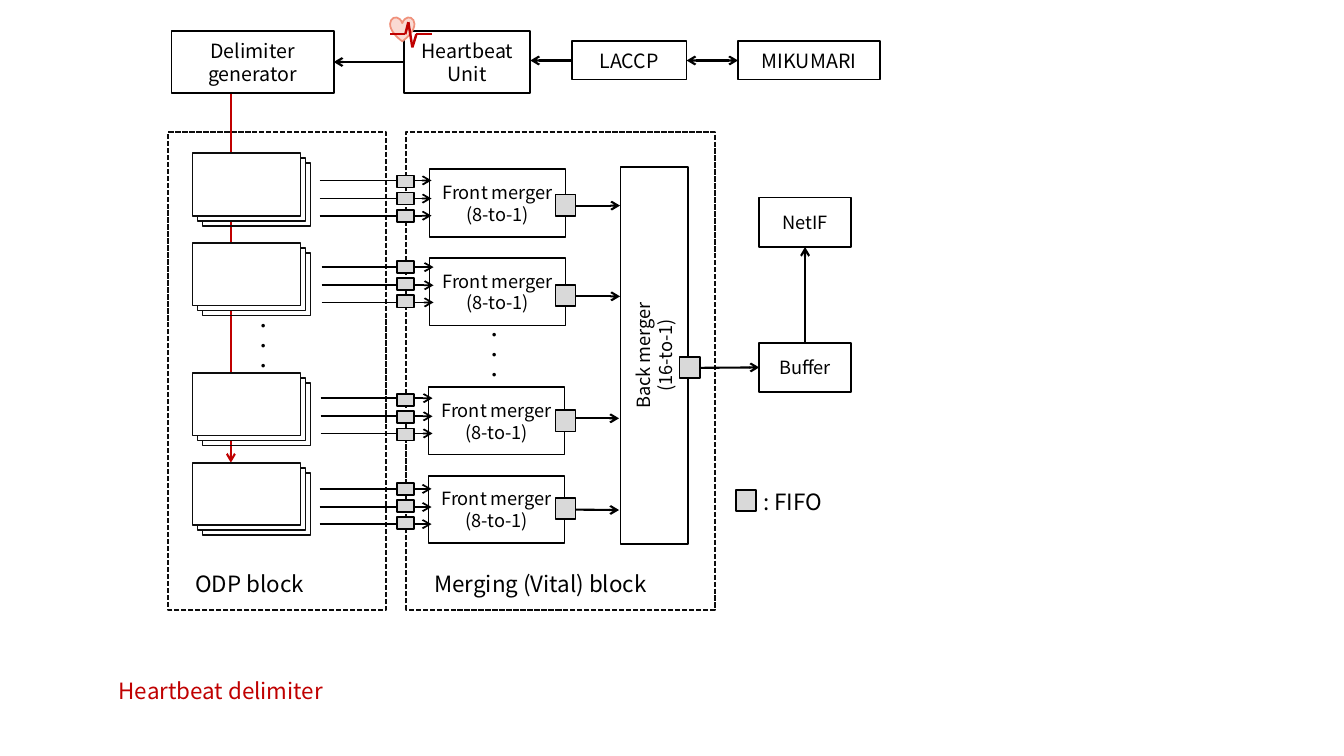
from dataclasses import dataclass
from itertools import pairwise

from lxml.etree import SubElement
from pptx import Presentation
from pptx.dml.color import RGBColor as Rgb
from pptx.enum.dml import MSO_LINE_DASH_STYLE as Dash
from pptx.enum.shapes import MSO_CONNECTOR as Conn, MSO_SHAPE as Kind
from pptx.enum.text import MSO_ANCHOR as Anchor, PP_ALIGN as Align
from pptx.oxml.ns import qn
from pptx.util import Inches, Pt


@dataclass(frozen=True)
class Theme:
    font: str = "Noto Sans CJK JP"
    black: str = "000000"
    ink: str = "0D0D0D"
    white: str = "FFFFFF"
    red: str = "C00000"
    gray: str = "D9D9D9"
    pink: str = "FADAD3"
    coral: str = "F0917B"
    dot: int = 12
    block: int = 13
    head: int = 14
    label: int = 16
    edge: float = 1.25
    flow: float = 1.5
    pulse: float = 1.75


T = Theme()
TOP, LEFT, BOTTOM, RIGHT = range(4)


@dataclass(frozen=True)
class Row:
    deck: float    # top of the front sheet
    wire: tuple    # left end and height of the first wire
    port: float    # top of the first small FIFO
    merge: tuple   # left and top of the front merger
    out: float     # height of the output arrow
    fifo: float    # top of the output FIFO


ROWS = (
    Row(1.52, (3.17, 1.79), 1.74, (4.26, 1.68), 2.04, 1.93),
    Row(2.41, (3.19, 2.65), 2.59, (4.26, 2.56), 2.94, 2.83),
    Row(3.70, (3.18, 3.95), 3.91, (4.25, 3.84), 4.15, 4.07),
    Row(4.59, (3.17, 4.85), 4.79, (4.25, 4.72), 5.06, 4.94),
)


def write(frame, text, size, color=T.black, align=Align.LEFT):
    frame.word_wrap = True
    frame.text = text
    for para in frame.paragraphs:
        para.alignment = align
        for run in para.runs:
            font = run.font
            font.size = Pt(size)
            font.color.rgb = Rgb.from_string(color)
            font.name = T.font
            SubElement(font._element, qn("a:ea"), typeface=T.font)


def label(slide, x, y, w, h, text, size=T.label, color=T.black):
    box = slide.shapes.add_textbox(Inches(x), Inches(y), Inches(w), Inches(h))
    write(box.text_frame, text, size, color)


def box(slide, x, y, w, h, text="", size=T.block, fill=T.white, line=T.black,
        kind=Kind.RECTANGLE):
    shape = slide.shapes.add_shape(
        kind, Inches(x), Inches(y), Inches(w), Inches(h))
    shape.shadow.inherit = False
    if fill:
        shape.fill.solid()
        shape.fill.fore_color.rgb = Rgb.from_string(fill)
    else:
        shape.fill.background()
    shape.line.color.rgb = Rgb.from_string(line)
    shape.line.width = Pt(T.edge)
    if text:
        shape.text_frame.vertical_anchor = Anchor.MIDDLE
        write(shape.text_frame, text, size, align=Align.CENTER)
    return shape


def panel(slide, x, w, fill=None):
    frame = box(slide, x, 1.31, w, 4.74, fill=fill, line=T.ink)
    frame.line.dash_style = Dash.SQUARE_DOT


def fifo(slide, x, y):
    box(slide, x, y, 0.2, 0.21, fill=T.gray)


def line(slide, start, end, color=T.black, width=T.flow, tips=("tailEnd",),
         source=None, target=None):
    """Draw a line; source and target are (shape, side) pairs to join."""
    link = slide.shapes.add_connector(
        Conn.STRAIGHT, *(Inches(v) for v in (*start, *end)))
    if source:
        link.begin_connect(*source)
    if target:
        link.end_connect(*target)
    link.line.color.rgb = Rgb.from_string(color)
    link.line.width = Pt(width)
    for tip in tips:
        SubElement(link.line._get_or_add_ln(), qn(f"a:{tip}"), type="arrow")
    SubElement(link._element.spPr, qn("a:effectLst"))


def deck(slide, y):
    for step, fill in ((0.1, None), (0.05, T.white), (0, T.white)):
        box(slide, 1.91 + step, y + step, 1.07, 0.62, fill=fill, line=T.ink)


def lane(slide, row):
    x, y = row.merge
    wide, high = 1.35, 0.67
    merger = box(slide, x, y, wide, high, "Front merger\n(8-to-1)")
    level = abs(y + high / 2 - row.out) < 0.01
    line(slide, (x + wide, row.out), (x + wide + 0.54, row.out),
         source=(merger, RIGHT) if level else None)
    fifo(slide, 5.51, row.fifo)

    # Input wires with their small FIFOs
    left, first = row.wire
    for i, gap in enumerate((0, 0.18, 0.35)):
        line(slide, (left, first + gap), (left + 1.11, first + gap),
             width=T.edge)
        box(slide, 3.94, row.port + 0.17 * i, 0.17, 0.12, fill=T.gray)
    deck(slide, row.deck)


def chain(slide):
    unit = box(slide, 4.01, 0.31, 1.25, 0.61, "Heartbeat\nUnit", T.head)
    maker = box(slide, 1.7, 0.31, 1.61, 0.61, "Delimiter\ngenerator", T.head)
    laccp = box(slide, 5.67, 0.41, 1.14, 0.38, "LACCP", T.head)
    clock = box(slide, 7.32, 0.41, 1.41, 0.38, "MIKUMARI", T.head)
    line(slide, (4.01, 0.62), (3.31, 0.62),
         source=(unit, LEFT), target=(maker, RIGHT))
    line(slide, (5.67, 0.6), (5.26, 0.6), source=(laccp, LEFT))
    line(slide, (7.32, 0.6), (6.81, 0.6), tips=("headEnd", "tailEnd"),
         source=(clock, LEFT), target=(laccp, RIGHT))


def heart(slide):
    box(slide, 3.87, 0.17, 0.24, 0.24, fill=T.pink, line=T.coral,
        kind=Kind.HEART)
    beat = ((3.87, 0.34), (4.02, 0.34), (4.05, 0.22),
            (4.09, 0.47), (4.13, 0.34), (4.28, 0.34))
    for start, end in pairwise(beat):
        line(slide, start, end, T.red, T.pulse, tips=())


def output(slide):
    buffer = box(slide, 7.53, 3.4, 0.91, 0.49, "Buffer")
    net = box(slide, 7.53, 1.96, 0.91, 0.49, "NetIF")
    line(slide, (6.82, 3.65), (7.53, 3.65), target=(buffer, LEFT))
    line(slide, (7.99, 3.4), (7.99, 2.45),
         source=(buffer, TOP), target=(net, BOTTOM))
    fifo(slide, 6.74, 3.54)


def main():
    deck_file = Presentation()
    deck_file.slide_width, deck_file.slide_height = Inches(13.33), Inches(7.5)
    slide = deck_file.slides.add_slide(deck_file.slide_layouts[6])

    # Block frames and the delimiter path
    panel(slide, 1.67, 2.16, T.white)
    line(slide, (2.29, 0.91), (2.29, 4.59), T.red)
    back = box(slide, 4.62, 3.19, 3.74, 0.67, "Back merger\n(16-to-1)")
    back.rotation = 270
    panel(slide, 4.03, 3.06)

    # Data path
    for row in ROWS:
        lane(slide, row)
    output(slide)

    # Heartbeat source
    chain(slide)
    heart(slide)

    # Labels and legend
    for x, y in ((4.72, 3.17), (2.43, 3.08)):
        label(slide, x, y, 0.63, 0.71, "・\n・\n・", T.dot)
    label(slide, 1.84, 5.61, 2.66, 0.37, "ODP block")
    label(slide, 4.21, 5.61, 2.66, 0.37, "Merging (Vital) block")
    label(slide, 1.08, 6.67, 2.66, 0.37, "Heartbeat delimiter", color=T.red)
    fifo(slide, 7.3, 4.86)
    label(slide, 7.47, 4.79, 1.03, 0.37, ": FIFO")

    deck_file.save("out.pptx")


if __name__ == "__main__":
    main()
